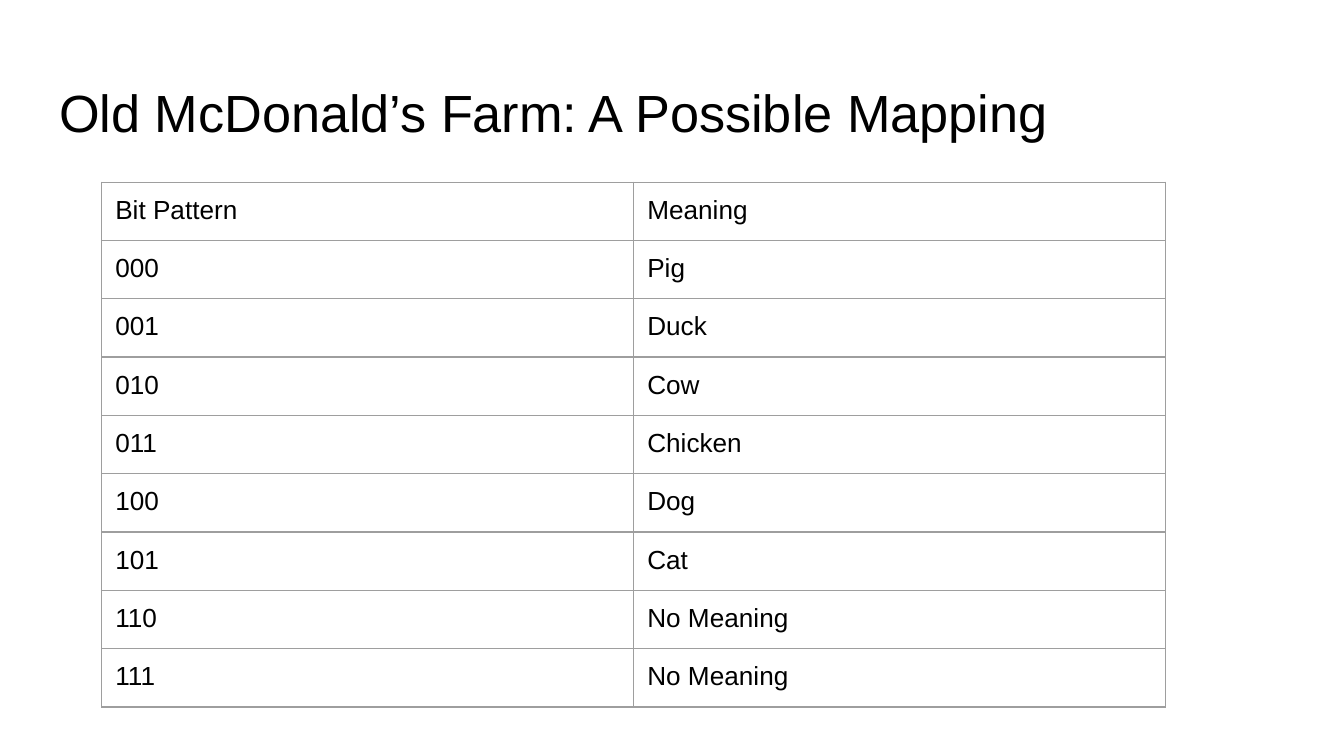
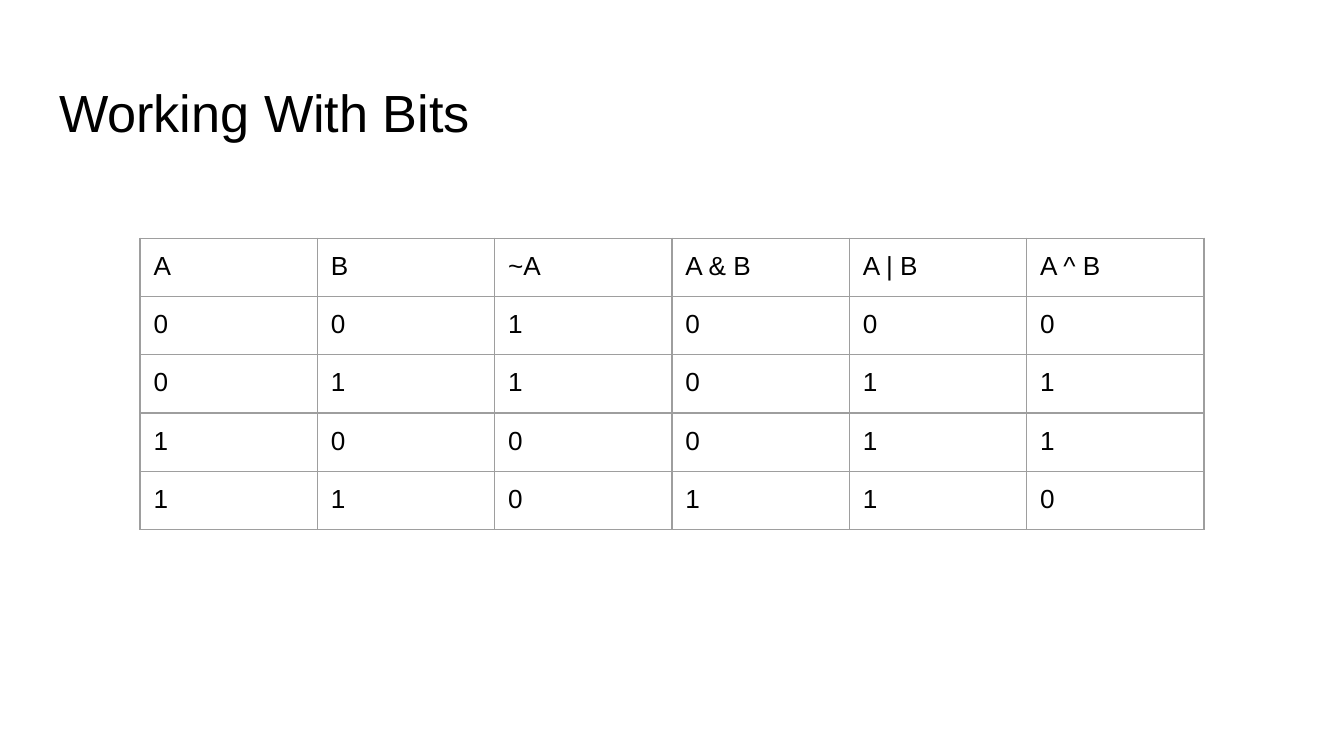
from dataclasses import dataclass

from lxml import etree
from pptx import Presentation
from pptx.dml.color import RGBColor
from pptx.enum.text import MSO_ANCHOR
from pptx.oxml.ns import qn
from pptx.slide import Slide
from pptx.table import _Cell
from pptx.text.text import TextFrame
from pptx.util import Inches, Pt

TOP = MSO_ANCHOR.TOP

BLACK = RGBColor(0x00, 0x00, 0x00)
WHITE = RGBColor(0xFF, 0xFF, 0xFF)
GRID_GRAY = RGBColor(0x9E, 0x9E, 0x9E)

FONT = "Arial"
TITLE_SIZE = Pt(28)
CELL_SIZE = Pt(14)
BORDER_WIDTH = Pt(0.75)
INSET = Inches(0.1)

SLIDE_WIDTH = Inches(10)
SLIDE_HEIGHT = SLIDE_WIDTH * 9 // 16
BLANK_LAYOUT = 6

# Horizontal and vertical lengths are percentages of the slide's size.
TITLE_LEFT, TITLE_TOP, TITLE_WIDTH, TITLE_HEIGHT = 3.41, 8.8, 93.2, 11.13
TABLE_WIDTH = 79.17
ROW_HEIGHT = 7.41
FRAME_WIDTH, FRAME_HEIGHT = 32.8, 58.3


@dataclass(frozen=True)
class TableSlide:
    title: str
    left: float
    top: float
    rows: list[tuple[str, ...]]


ANIMALS = ["Pig", "Duck", "Cow", "Chicken", "Dog", "Cat", "No Meaning", "No Meaning"]
BIT_PAIRS = [(a, b) for a in (0, 1) for b in (0, 1)]

TABLE_SLIDES = [
    TableSlide(
        "Old McDonald’s Farm: A Possible Mapping", 7.58, 24.1,
        [("Bit Pattern", "Meaning")]
        + [(f"{code:03b}", animal) for code, animal in enumerate(ANIMALS)],
    ),
    TableSlide(
        "Working With Bits", 10.42, 31.5,
        [("A", "B", "~A", "A & B", "A | B", "A ^ B")]
        + [tuple(str(bit) for bit in (a, b, 1 - a, a & b, a | b, a ^ b))
           for a, b in BIT_PAIRS],
    ),
]


def across(percent: float) -> int:
    return round(SLIDE_WIDTH * percent / 100)


def down(percent: float) -> int:
    return round(SLIDE_HEIGHT * percent / 100)


def write(frame: TextFrame, text: str, size: int) -> None:
    paragraph = frame.paragraphs[0]
    paragraph.line_spacing = 1.0
    run = paragraph.add_run()
    run.text = text
    run.font.name = FONT
    run.font.size = size
    run.font.color.rgb = BLACK


def set_insets(target: TextFrame | _Cell) -> None:
    target.margin_left = target.margin_right = INSET
    target.margin_top = target.margin_bottom = INSET
    target.vertical_anchor = TOP


def add_title(slide: Slide, title: str) -> None:
    box = slide.shapes.add_textbox(
        across(TITLE_LEFT), down(TITLE_TOP), across(TITLE_WIDTH), down(TITLE_HEIGHT)
    )
    frame = box.text_frame
    frame.word_wrap = True
    set_insets(frame)
    write(frame, title, TITLE_SIZE)


def add_borders(cell: _Cell) -> None:
    properties = cell._tc.get_or_add_tcPr()
    for side in ("a:lnL", "a:lnR", "a:lnT", "a:lnB"):
        line = etree.SubElement(properties, qn(side), w=str(BORDER_WIDTH))
        fill = etree.SubElement(line, qn("a:solidFill"))
        etree.SubElement(fill, qn("a:srgbClr"), val=str(GRID_GRAY))


def add_grid_table(slide: Slide, content: TableSlide) -> None:
    """Draw the table; its rows and columns, not its frame, set the drawn size."""
    row_count, column_count = len(content.rows), len(content.rows[0])
    graphic_frame = slide.shapes.add_table(
        row_count, column_count, across(content.left), down(content.top),
        across(TABLE_WIDTH), down(ROW_HEIGHT * row_count),
    )
    graphic_frame.width = across(FRAME_WIDTH)
    graphic_frame.height = down(FRAME_HEIGHT)
    table = graphic_frame.table
    table.first_row = False
    table.horz_banding = False
    for row_index, row in enumerate(content.rows):
        for column_index, text in enumerate(row):
            cell = table.cell(row_index, column_index)
            set_insets(cell)
            add_borders(cell)
            cell.fill.background()
            write(cell.text_frame, text, CELL_SIZE)


def main() -> None:
    presentation = Presentation()
    presentation.slide_width = SLIDE_WIDTH
    presentation.slide_height = SLIDE_HEIGHT
    for content in TABLE_SLIDES:
        slide = presentation.slides.add_slide(presentation.slide_layouts[BLANK_LAYOUT])
        slide.background.fill.solid()
        slide.background.fill.fore_color.rgb = WHITE
        add_title(slide, content.title)
        add_grid_table(slide, content)
    presentation.save("out.pptx")


if __name__ == "__main__":
    main()
